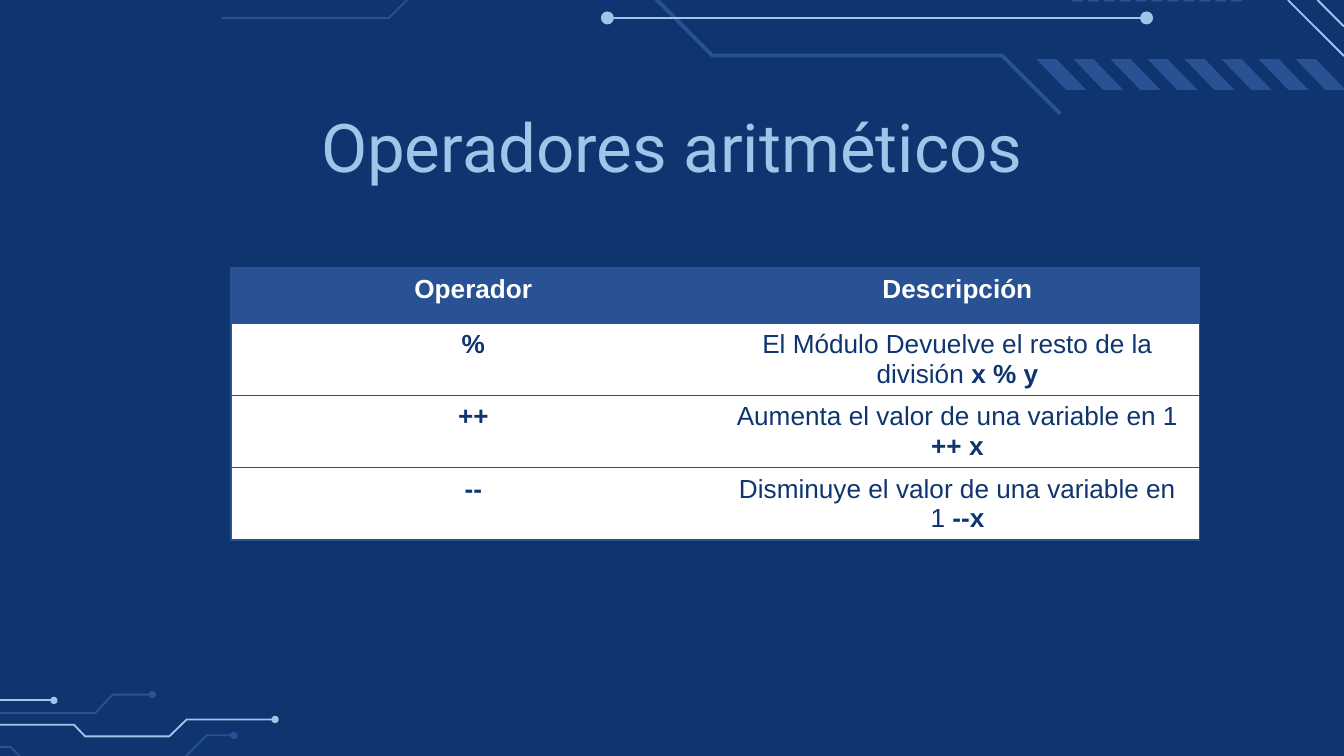
from collections import namedtuple

from lxml import etree
from pptx import Presentation
from pptx import util as u
from pptx.dml.color import RGBColor
from pptx.enum import shapes, text
from pptx.oxml.ns import qn

Theme = namedtuple("Theme", "navy blue sky white heading body title_size cell_size line dot_line")
THEME = Theme(
    navy=RGBColor.from_string("0F3570"),
    blue=RGBColor.from_string("285293"),
    sky=RGBColor.from_string("9FC5E8"),
    white=RGBColor.from_string("FFFFFF"),
    heading="Roboto",
    body="Arial",
    title_size=36,
    cell_size=14,
    line=1,
    dot_line=0.75,
)


class SlideBuilder:
    """Draw styled elements on the current slide, with lengths in centimetres."""

    def __init__(self, page, theme):
        self.page = page
        self.theme = theme
        page.background.fill.solid()
        page.background.fill.fore_color.rgb = theme.navy

    def span(self, para, words, color, **formats):
        span = para.add_run()
        span.text = words
        span.font.color.rgb = color
        for name, value in formats.items():
            setattr(span.font, name, value)

    def title(self, words, left, top, width, height):
        box = self.page.shapes.title
        place = {"left": left, "top": top, "width": width, "height": height}
        for name, value in place.items():
            setattr(box, name, u.Cm(value))
        frame = box.text_frame
        layout = {"margin_left": 0, "margin_top": 0, "margin_right": 0, "margin_bottom": 0,
                  "word_wrap": True, "auto_size": text.MSO_AUTO_SIZE.NONE,
                  "vertical_anchor": text.MSO_ANCHOR.TOP}
        for name, value in layout.items():
            setattr(frame, name, value)
        para = frame.paragraphs[0]
        para.alignment = text.PP_ALIGN.CENTER
        self.span(para, words, self.theme.sky, name=self.theme.heading,
                  size=u.Pt(self.theme.title_size))

    def outline(self, points, closed):
        start, *rest = [(u.Cm(x), u.Cm(y)) for x, y in points]
        builder = self.page.shapes.build_freeform(*start)
        builder.add_line_segments(rest, close=closed)
        shape = builder.convert_to_shape()
        shape.shadow.inherit = False
        return shape

    def polygon(self, points, color):
        shape = self.outline(points, True)
        shape.fill.solid()
        shape.fill.fore_color.rgb = color
        shape.line.fill.background()

    def trace(self, points, color, width):
        shape = self.outline(points, False)
        shape.fill.background()
        shape.line.color.rgb = color
        shape.line.width = u.Pt(width)

    def straight(self, start, end, color):
        ends = [u.Cm(value) for value in (*start, *end)]
        line = self.page.shapes.add_connector(shapes.MSO_CONNECTOR.STRAIGHT, *ends)
        line.line.color.rgb = color
        line.line.width = u.Pt(self.theme.line)
        etree.SubElement(line._element.spPr, qn("a:effectLst"))

    def dot(self, center, size, color):
        x, y = center
        shape = self.page.shapes.add_shape(
            shapes.MSO_SHAPE.OVAL, u.Cm(x - size / 2), u.Cm(y - size / 2), u.Cm(size), u.Cm(size))
        shape.shadow.inherit = False
        shape.fill.solid()
        shape.fill.fore_color.rgb = color
        shape.line.color.rgb = color
        shape.line.width = u.Pt(self.theme.dot_line)

    def borders(self, cell, sides):
        properties = cell._tc.get_or_add_tcPr()
        for side in "LRTB":
            line = etree.SubElement(properties, qn(f"a:ln{side}"), w=str(u.Pt(self.theme.line)))
            if side in sides:
                fill = etree.SubElement(line, qn("a:solidFill"))
                etree.SubElement(fill, qn("a:srgbClr"), val=str(self.theme.blue))
            else:
                etree.SubElement(line, qn("a:noFill"))

    def table(self, rows, left, top, width, height, row_height):
        frame = self.page.shapes.add_table(
            len(rows), len(rows[0]), u.Cm(left), u.Cm(top), u.Cm(width), u.Cm(height))
        for r, row in enumerate(rows):
            frame.table.rows[r].height = u.Cm(row_height)
            fill, color = ((self.theme.white, self.theme.navy) if r
                           else (self.theme.blue, self.theme.white))
            for c, spans in enumerate(row):
                cell = frame.table.cell(r, c)
                self.borders(cell, "RTB" if c else "LTB")
                cell.fill.solid()
                cell.fill.fore_color.rgb = fill
                para = cell.text_frame.paragraphs[0]
                para.alignment = text.PP_ALIGN.CENTER
                for words, bold in spans:
                    self.span(para, words, color, bold=bold, name=self.theme.body,
                              size=u.Pt(self.theme.cell_size))
        frame.height = u.Cm(height)


def draw_header(slide):
    sky, blue = THEME.sky, THEME.blue
    slide.trace([(12.04, -0.38), (13.46, 1.05), (18.94, 1.05), (20.04, 2.15)], blue, 2)
    slide.trace([(4.2, 0.34), (7.35, 0.34), (8.66, -0.97)], blue, THEME.line)
    rail = (11.48, 0.34), (21.67, 0.34)
    slide.straight(*rail, sky)
    for end in rail:
        slide.dot(end, 0.22, sky)
    for x in (24.34, 24.9):
        slide.straight((x, 0), (25.4, 25.4 - x), sky)
    stripe = [(0, 1.12), (0.38, 1.12), (0.94, 1.7), (0.56, 1.7)]
    chevron = [(0, 0.03), (0.3, -0.23), (0.03, -0.48), (0.23, -0.48), (0.48, -0.23), (0.2, 0.03)]
    for motif, count, left, step in ((stripe, 8, 19.59, 0.7), (chevron, 11, 20.25, 0.3)):
        for i in range(count):
            slide.polygon([(left + i * step + x, y) for x, y in motif], blue)


def draw_circuit(slide):
    sky, blue = THEME.sky, THEME.blue
    slide.trace([(-2.77, 14.12), (0.2, 14.12), (0.51, 14.43), (3.73, 14.43)], blue, THEME.line)
    wires = [
        ([(-4.39, 13.7), (1.4, 13.7), (1.61, 13.92), (3.2, 13.92), (3.53, 13.6), (5.2, 13.6)], sky),
        ([(3.38, 14.43), (3.91, 13.9), (4.42, 13.9)], blue),
        ([(-2.9, 13), (-2.41, 13.48), (1.8, 13.48), (2.13, 13.13), (2.88, 13.13)], blue),
        ([(-1.98, 13.24), (1.02, 13.24)], sky),
    ]
    for points, color in wires:
        slide.trace(points, color, THEME.line)
        slide.dot(points[-1], 0.11, color)


def main():
    deck = Presentation()
    deck.slide_width, deck.slide_height = u.Cm(25.4), u.Cm(14.29)
    slide = SlideBuilder(deck.slides.add_slide(deck.slide_layouts[5]), THEME)
    draw_header(slide)
    draw_circuit(slide)
    slide.title("Operadores aritméticos", 2, 2, 21.4, 1.35)
    operators = [
        ("%", "El Módulo Devuelve el resto de la división ", "x % y"),
        ("++", "Aumenta el valor de una variable en 1 ", "++ x"),
        ("--", "Disminuye el valor de una variable en 1 ", "--x"),
    ]
    rows = [[[("Operador", True)], [("Descripción", True)]]]
    rows += [[[(sign, True)], [(meaning, False), (example, True)]]
             for sign, meaning, example in operators]
    slide.table(rows, 4.37, 5.07, 18.3, 5.36, 1.04)
    deck.save("out.pptx")


if __name__ == "__main__":
    main()
